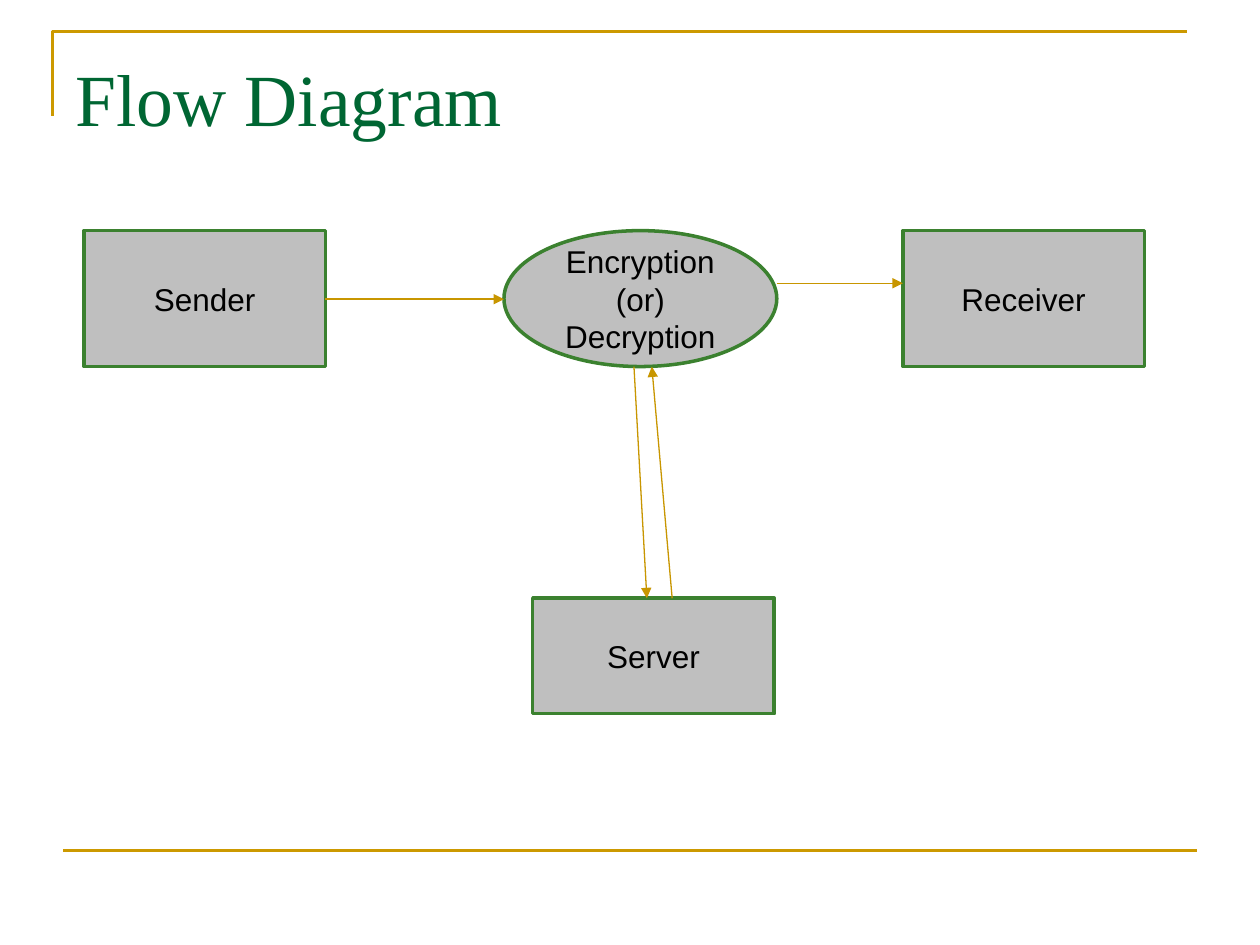
from lxml import etree
from pptx import Presentation
from pptx.dml.color import RGBColor
from pptx.enum.shapes import MSO_CONNECTOR as Connector, MSO_SHAPE as Shape
from pptx.enum.text import MSO_ANCHOR as Anchor, PP_ALIGN as Align
from pptx.oxml.ns import qn
from pptx.util import Cm, Pt

TITLE = "Flow Diagram"
GOLD, ARROW, GREEN, BORDER, GREY, BLACK = (
    "CC9900", "C89600", "006633", "3B812F", "BFBFBF", "000000")
ROW_TOP, ROW_HEIGHT, BOX_WIDTH = 4.65, 2.74, 4.87
SERVER_TOP = 12.06
ROW_BOTTOM = ROW_TOP + ROW_HEIGHT
SENDER_LEFT, CIPHER_LEFT, CIPHER_WIDTH, RECEIVER_LEFT = 1.69, 10.16, 5.5, 18.2

NODES = [
    (Shape.OVAL, ["Encryption", "(or)", "Decryption"],
     (CIPHER_LEFT, ROW_TOP, CIPHER_WIDTH, ROW_HEIGHT)),
    (Shape.RECTANGLE, ["Sender"], (SENDER_LEFT, ROW_TOP, BOX_WIDTH, ROW_HEIGHT)),
    (Shape.RECTANGLE, ["Receiver"], (RECEIVER_LEFT, ROW_TOP, BOX_WIDTH, ROW_HEIGHT)),
    (Shape.RECTANGLE, ["Server"], (10.74, SERVER_TOP, BOX_WIDTH, 2.33)),
]
ARROWS = [
    (SENDER_LEFT + BOX_WIDTH, 6.03, CIPHER_LEFT, 6.03),
    (CIPHER_LEFT + CIPHER_WIDTH, 5.71, RECEIVER_LEFT, 5.71),
    (12.78, ROW_BOTTOM, 13.04, SERVER_TOP),
    (13.55, SERVER_TOP, 13.14, ROW_BOTTOM),
]
CORNER = [(1.06, 2.33), (1.06, 0.64), (23.93, 0.64)]
FOOTER_RULE = (1.27, 17.15, 24.13, 17.15)


def color(value):
    return RGBColor.from_string(value)


def set_line(shape, value, width):
    shape.line.color.rgb = color(value)
    shape.line.width = Pt(width)


def add_run(paragraph, text, font, size, value):
    run = paragraph.add_run()
    run.text = text
    run.font.name = font
    run.font.size = Pt(size)
    run.font.color.rgb = color(value)


def add_line(slide, ends, value, width, arrow=False):
    line = slide.shapes.add_connector(Connector.STRAIGHT, *map(Cm, ends))
    set_line(line, value, width)
    properties = line._element.spPr
    if arrow:
        etree.SubElement(properties.find(qn("a:ln")), qn("a:tailEnd"), type="triangle")
    etree.SubElement(properties, qn("a:effectLst"))


def add_corner(slide):
    points = [(Cm(x), Cm(y)) for x, y in CORNER]
    builder = slide.shapes.build_freeform(*points[0])
    builder.add_line_segments(points[1:], close=False)
    corner = builder.convert_to_shape()
    corner.shadow.inherit = False
    corner.fill.background()
    set_line(corner, GOLD, 1.5)


def add_title(slide):
    box = slide.shapes.add_textbox(Cm(1.27), Cm(0.76), Cm(22.86), Cm(3.18))
    frame = box.text_frame
    frame.word_wrap = True
    frame.margin_top = Cm(0.3)
    add_run(frame.paragraphs[0], TITLE, "Times New Roman", 42, GREEN)


def add_node(slide, kind, lines, place):
    node = slide.shapes.add_shape(kind, *map(Cm, place))
    node.shadow.inherit = False
    node.fill.solid()
    node.fill.fore_color.rgb = color(GREY)
    set_line(node, BORDER, 2)
    frame = node.text_frame
    frame.word_wrap = True
    frame.vertical_anchor = Anchor.MIDDLE
    for index, text in enumerate(lines):
        paragraph = frame.add_paragraph() if index else frame.paragraphs[0]
        paragraph.alignment = Align.CENTER
        add_run(paragraph, text, "Arial", 18, BLACK)


presentation = Presentation()
presentation.slide_width, presentation.slide_height = Cm(25.4), Cm(19.05)
slide = presentation.slides.add_slide(presentation.slide_layouts[6])
add_corner(slide)
add_line(slide, FOOTER_RULE, GOLD, 1.5)
add_title(slide)
for kind, lines, place in NODES:
    add_node(slide, kind, lines, place)
for ends in ARROWS:
    add_line(slide, ends, ARROW, 0.75, arrow=True)
presentation.save("out.pptx")
